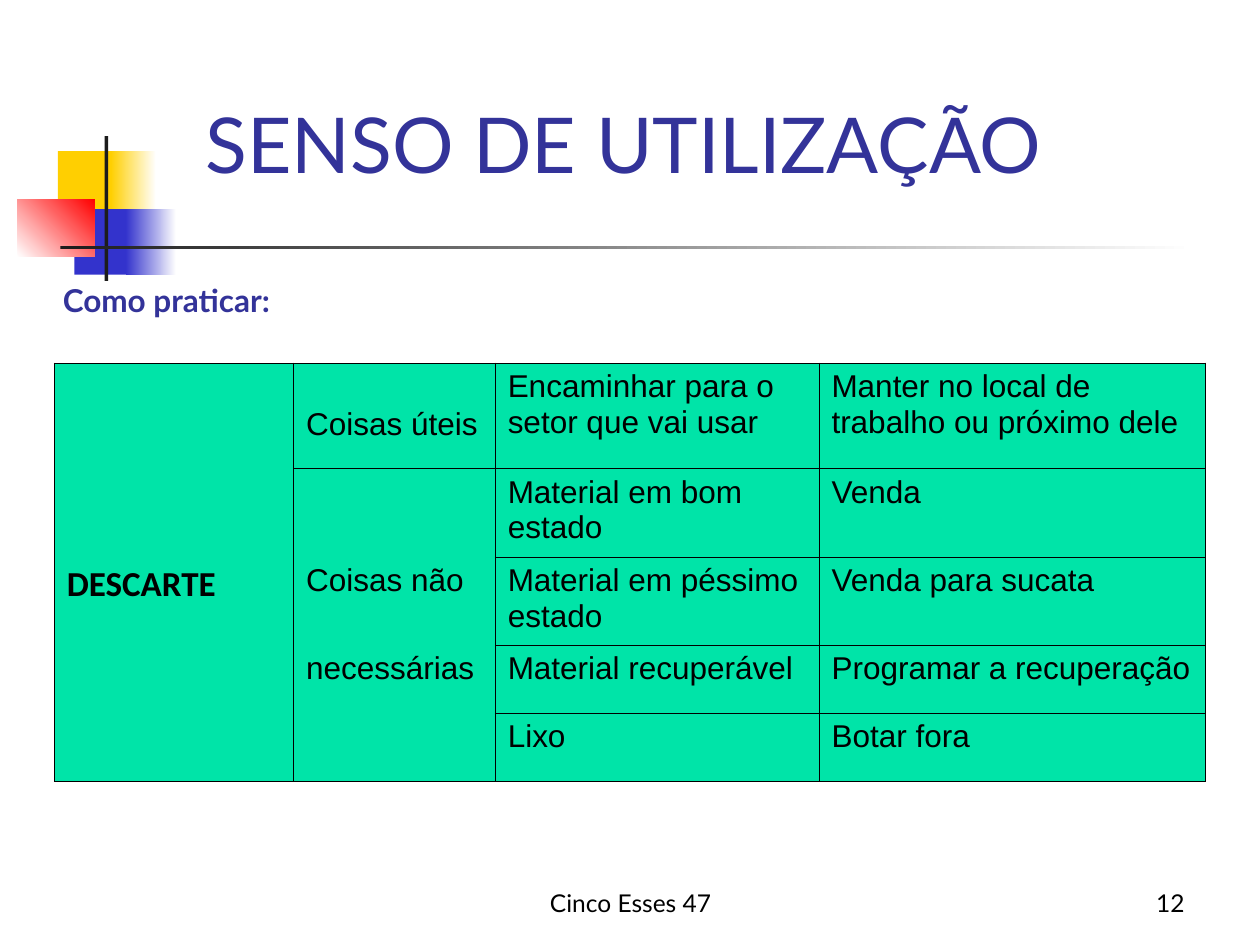
from lxml import etree
from pptx import Presentation
from pptx.dml.color import RGBColor
from pptx.enum.shapes import MSO_SHAPE
from pptx.enum.text import MSO_ANCHOR, PP_ALIGN
from pptx.oxml.ns import qn

PX = 9144
RECT = MSO_SHAPE.RECTANGLE
TOP, BOTTOM = MSO_ANCHOR.TOP, MSO_ANCHOR.BOTTOM
LEFT, CENTER, RIGHT = PP_ALIGN.LEFT, PP_ALIGN.CENTER, PP_ALIGN.RIGHT

WHITE = RGBColor(0xFF, 0xFF, 0xFF)
BLACK = RGBColor(0x00, 0x00, 0x00)
YELLOW = RGBColor(0xFF, 0xCF, 0x01)
BLUE = RGBColor(0x33, 0x33, 0xCC)
RED = RGBColor(0xFF, 0x00, 0x00)
DARK = RGBColor(0x1C, 0x1C, 0x1C)
INDIGO = RGBColor(0x33, 0x33, 0x99)
GREEN = RGBColor(0x00, 0xE4, 0xA8)

TITLE = dict(name="Lato", size=44 * 12700, bold=False)
SUBTITLE = dict(name="Lato", size=18 * 12700, bold=True)
FOOTER = dict(name="Lato", size=14 * 12700, bold=False)
BODY = dict(name="Arial", size=18 * 12700, bold=False)
STRONG = dict(name="Calibri", size=20 * 12700, bold=True)

COLS = [190, 160, 257, 307]
ROWS = [84, 70, 70, 54, 54]
CELLS = [
    ["", "Coisas úteis", "Encaminhar para o setor que vai usar",
     "Manter no local de trabalho ou próximo dele"],
    ["", "", "Material em bom estado", "Venda"],
    ["DESCARTE", "Coisas não", "Material em péssimo estado", "Venda para sucata"],
    ["", "necessárias", "Material recuperável", "Programar a recuperação"],
    ["", "", "Lixo", "Botar fora"],
]
ALL_EDGES = range(len(ROWS) + 1)
ROW_EDGES = [(0, 5), (0, 1, 5), ALL_EDGES, ALL_EDGES]
BORDER_WIDTH = 5715


def emu(*lengths):
    return [n * PX for n in lengths]


def write(tf, text, fmt, color, align=LEFT):
    p = tf.paragraphs[0]
    p.alignment = align
    r = p.add_run()
    r.text = text
    for key, value in fmt.items():
        setattr(r.font, key, value)
    r.font.color.rgb = color


def add_block(s, box, start, end=None, angle=0):
    sp = s.shapes.add_shape(RECT, *emu(*box))
    sp.shadow.inherit = False
    sp.line.fill.background()
    if end is None:
        sp.fill.solid()
        sp.fill.fore_color.rgb = start
        return
    sp.fill.gradient()
    sp.fill.gradient_angle = angle
    for stop, color in zip(sp.fill.gradient_stops, (start, end)):
        stop.color.rgb = color


def add_ornament(s, x, y):
    blocks = [
        ((32, 12, 48, 52), YELLOW),
        ((74, 12, 36, 52), YELLOW, WHITE),
        ((45, 58, 46, 52), BLUE),
        ((86, 58, 40, 52), BLUE, WHITE),
        ((0, 50, 61, 46), WHITE, RED, 45),
        ((69, 0, 3, 115), DARK),
        ((34, 87, 900, 3), DARK, WHITE),
    ]
    for (dx, dy, w, h), *colors in blocks:
        add_block(s, (x + dx, y + dy, w, h), *colors)


def add_title(s, box, text):
    sp = s.shapes.title
    sp.left, sp.top, sp.width, sp.height = emu(*box)
    sp.text_frame.vertical_anchor = BOTTOM
    write(sp.text_frame, text, TITLE, INDIGO)


def add_text(s, box, text, fmt, color, align=LEFT, anchor=TOP, wrap=True):
    tf = s.shapes.add_textbox(*emu(*box)).text_frame
    tf.word_wrap = wrap
    tf.vertical_anchor = anchor
    write(tf, text, fmt, color, align)


def set_borders(cell, row, col):
    edges = ROW_EDGES[col]
    sides = dict(lnL=True, lnR=True, lnT=row in edges, lnB=row + 1 in edges)
    tc_pr = cell._tc.get_or_add_tcPr()
    for tag, visible in sides.items():
        ln = etree.SubElement(tc_pr, qn("a:" + tag), w=str(BORDER_WIDTH))
        if visible:
            fill = etree.SubElement(ln, qn("a:solidFill"))
            etree.SubElement(fill, qn("a:srgbClr"), val=str(BLACK))
        else:
            etree.SubElement(ln, qn("a:noFill"))


def add_discard_table(s, x, y):
    frame = s.shapes.add_table(len(ROWS), len(COLS), *emu(x, y, sum(COLS), sum(ROWS)))
    table = frame.table
    table.first_row = table.horz_banding = False
    for column, width in zip(table.columns, COLS):
        column.width = width * PX
    for row, height in zip(table.rows, ROWS):
        row.height = height * PX
    for i, texts in enumerate(CELLS):
        for j, text in enumerate(texts):
            cell = table.cell(i, j)
            set_borders(cell, i, j)
            cell.fill.solid()
            cell.fill.fore_color.rgb = GREEN
            if text:
                write(cell.text_frame, text, BODY if j else STRONG, BLACK)
    table.cell(0, 1).margin_top = 35 * PX


def add_footer(s, y):
    add_text(s, (717, y, 233, 50), "12", FOOTER, BLACK, RIGHT, BOTTOM)
    add_text(s, (342, y, 317, 50), "Cinco Esses 47", FOOTER, BLACK, CENTER, BOTTOM)


def main():
    prs = Presentation()
    prs.slide_width, prs.slide_height = emu(1000, 750)
    s = prs.slides.add_slide(prs.slide_layouts[5])
    add_ornament(s, 14, 108)
    add_title(s, (153, 13, 722, 142), "SENSO DE UTILIZAÇÃO")
    add_discard_table(s, 43, 288)
    add_text(s, (40, 218, 205, 40), "Como praticar:", SUBTITLE, INDIGO, wrap=False)
    add_footer(s, 683)
    prs.save("out.pptx")


if __name__ == "__main__":
    main()
